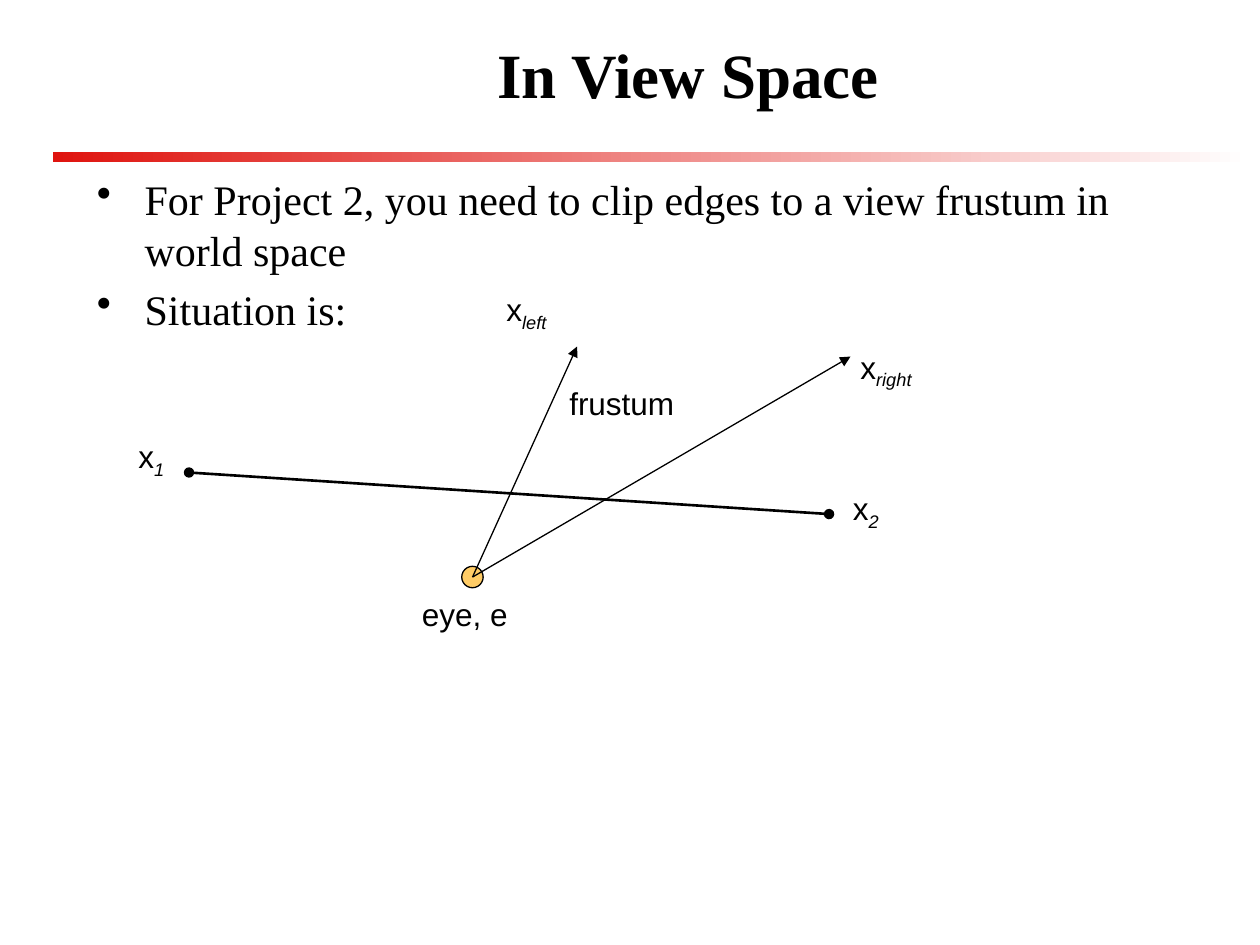
"""Build the "In View Space" slide with its view frustum diagram."""
import pptx
import pptx.util
import pptx.dml.color
import pptx.enum.shapes
import pptx.enum.text
import pptx.oxml
import pptx.oxml.ns

Inches, Pt = pptx.util.Inches, pptx.util.Pt
SERIF, SANS = "Times New Roman", "Arial"
BLACK, RED, WHITE, GOLD = "000000", "DF140F", "FFFFFF", "FFCC66"

TITLE = "In View Space"
POINTS = [
    "For Project 2, you need to clip edges to a view frustum in world space",
    "Situation is:",
]
EYE, SIZE = (3.75, 4.58), 0.17
LINES = [
    (EYE, (4.58, 2.75), 0.75, {"tailEnd": "triangle"}),
    (EYE, (6.75, 2.83), 0.75, {"tailEnd": "triangle"}),
    ((1.5, 3.75), (6.58, 4.08), 1.5, {"headEnd": "oval", "tailEnd": "oval"}),
]
LABELS = [
    ("eye, e", "", 3.25, 4.67, 0.98),
    ("frustum", "", 4.42, 3, 1.24),
    ("x", "right", 6.73, 2.71, 0.8),
    ("x", "left", 3.92, 2.25, 0.65),
    ("x", "1", 1, 3.42, 0.48),
    ("x", "2", 6.67, 3.83, 0.48),
]


def paint(color, code):
    color.rgb = pptx.dml.color.RGBColor.from_string(code)


def style(run, face, size, bold=False):
    run.font.name, run.font.size, run.font.bold = face, Pt(size), bold
    paint(run.font.color, BLACK)


def add_node(parent, tag, **attrs):
    node = pptx.oxml.parse_xml(f"<a:{tag} {pptx.oxml.ns.nsdecls('a')}/>")
    for key, value in attrs.items():
        node.set(key, value)
    parent.append(node)


def add_bar(slide):
    bar = slide.shapes.add_shape(
        pptx.enum.shapes.MSO_SHAPE.RECTANGLE,
        Inches(0.42), Inches(1.21), Inches(9.5), Inches(0.08))
    bar.shadow.inherit = False
    bar.line.fill.background()
    bar.fill.gradient()
    bar.fill.gradient_angle = 0
    for stop, code in zip(bar.fill.gradient_stops, (RED, WHITE)):
        paint(stop.color, code)


def set_title(slide):
    title = slide.shapes.title
    title.left, title.top = Inches(1.17), Inches(0.17)
    title.width, title.height = Inches(8.58), Inches(0.83)
    frame = title.text_frame
    frame.text = TITLE
    frame.auto_size = pptx.enum.text.MSO_AUTO_SIZE.NONE
    frame.vertical_anchor = pptx.enum.text.MSO_ANCHOR.MIDDLE
    frame.paragraphs[0].alignment = pptx.enum.text.PP_ALIGN.CENTER
    style(frame.paragraphs[0].runs[0], SERIF, 36, True)


def add_points(slide):
    box = slide.shapes.add_textbox(
        Inches(0.67), Inches(1.33), Inches(8.83), Inches(1.42))
    frame = box.text_frame
    frame.word_wrap = True
    frame.text = "\n".join(POINTS)
    for para in frame.paragraphs:
        para.space_before = Pt(5)
        style(para.runs[0], SERIF, 24)
        props = para._p.get_or_add_pPr()
        props.set("marL", str(Inches(0.38)))
        props.set("indent", str(-Inches(0.38)))
        add_node(props, "buChar", char="•")


def add_eye(slide):
    left, top = (Inches(mid - SIZE / 2) for mid in EYE)
    eye = slide.shapes.add_shape(
        pptx.enum.shapes.MSO_SHAPE.OVAL, left, top, Inches(SIZE), Inches(SIZE))
    eye.shadow.inherit = False
    eye.fill.solid()
    paint(eye.fill.fore_color, GOLD)
    paint(eye.line.color, BLACK)
    eye.line.width = Pt(0.75)


def add_line(slide, start, end, width, ends):
    line = slide.shapes.add_connector(
        pptx.enum.shapes.MSO_CONNECTOR.STRAIGHT,
        *(Inches(pos) for pos in start + end))
    paint(line.line.color, BLACK)
    line.line.width = Pt(width)
    for tag, kind in ends.items():
        add_node(line.line._get_or_add_ln(), tag, type=kind)
    add_node(line._element.spPr, "effectLst")


def add_label(slide, text, sub, left, top, width):
    box = slide.shapes.add_textbox(
        Inches(left), Inches(top), Inches(width), Inches(0.5))
    frame = box.text_frame
    frame.word_wrap = False
    frame.auto_size = pptx.enum.text.MSO_AUTO_SIZE.SHAPE_TO_FIT_TEXT
    frame.text = text
    para = frame.paragraphs[0]
    style(para.runs[0], SANS, 18)
    if sub:
        run = para.add_run()
        run.text = sub
        style(run, SANS, 18)
        run.font.italic = True
        run._r.get_or_add_rPr().set("baseline", "-25000")


def main():
    deck = pptx.Presentation()
    deck.slide_width, deck.slide_height = Inches(10), Inches(7.5)
    slide = deck.slides.add_slide(deck.slide_layouts[5])
    add_bar(slide)
    set_title(slide)
    add_points(slide)
    add_eye(slide)
    for line in LINES:
        add_line(slide, *line)
    for label in LABELS:
        add_label(slide, *label)
    deck.save("out.pptx")


if __name__ == "__main__":
    main()
